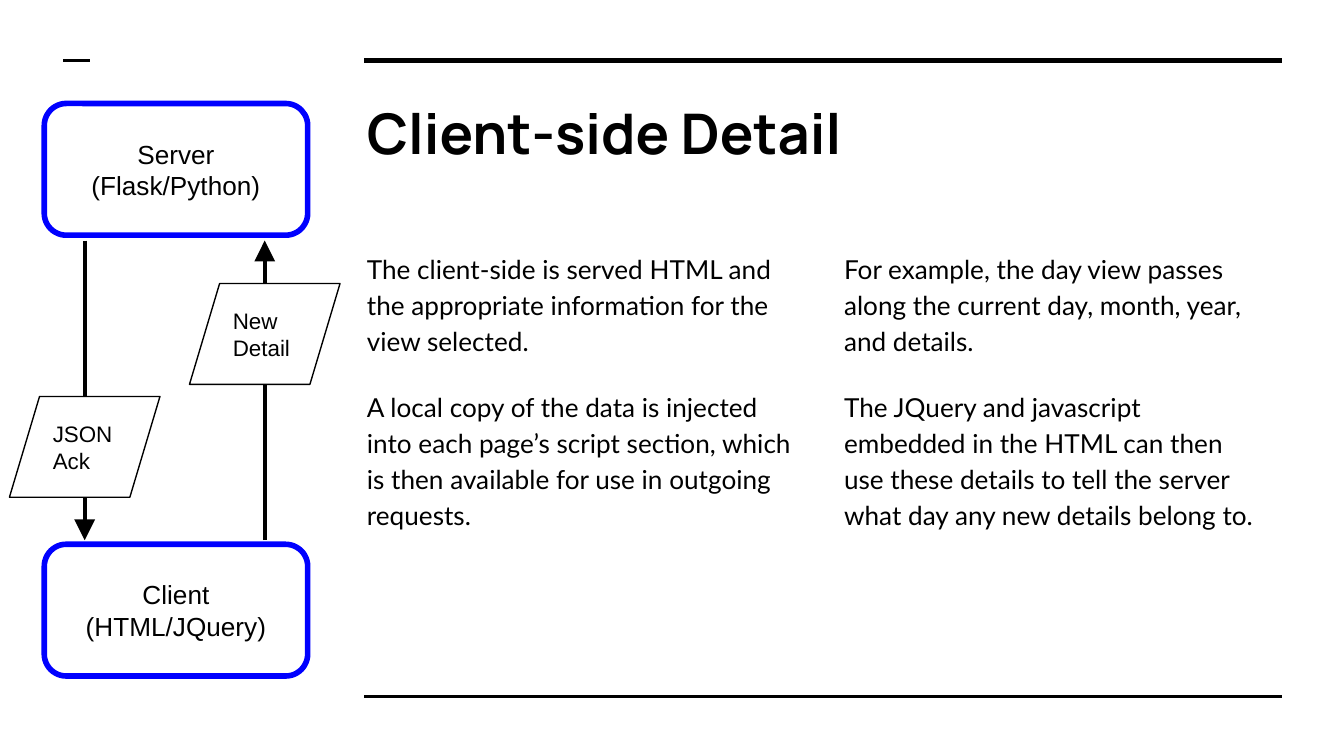
import pptx
import pptx.dml.color
import pptx.enum.shapes
import pptx.enum.text
import pptx.oxml
import pptx.oxml.ns
import pptx.util
import lxml.etree

Inches = pptx.util.Inches
Pt = pptx.util.Pt
Align = pptx.enum.text.PP_ALIGN
Anchor = pptx.enum.text.MSO_ANCHOR
Shape = pptx.enum.shapes.MSO_SHAPE
qn = pptx.oxml.ns.qn

LEFT = [
    "The client-side is served HTML and the appropriate information for the view selected.",
    "A local copy of the data is injected into each page’s script section, "
    "which is then available for use in outgoing requests.",
]
RIGHT = [
    "For example, the day view passes along the current day, month, year, and details.",
    "The JQuery and javascript embedded in the HTML can then use these details "
    "to tell the server what day any new details belong to.",
]


def color(code):
    """Turn a hex string into a colour."""
    return pptx.dml.color.RGBColor.from_string(code)


def place(shape, box):
    """Move a shape to a box given in inches."""
    shape.left, shape.top, shape.width, shape.height = map(Inches, box)


def write(shape, lines, font, size, align=Align.LEFT, anchor=Anchor.TOP, bold=False):
    """Fill a shape with evenly formatted paragraphs."""
    frame = shape.text_frame
    frame.text = "\n".join(lines)
    frame.word_wrap = True
    frame.auto_size = pptx.enum.text.MSO_AUTO_SIZE.NONE
    frame.vertical_anchor = anchor
    frame.margin_left = frame.margin_right = Inches(0.1)
    frame.margin_top = frame.margin_bottom = Inches(0.1)
    for para in frame.paragraphs:
        para.alignment = align
        para.font.name = font
        para.font.size = Pt(size)
        para.font.bold = bold
        para.font.color.rgb = color("000000")


def add_line(slide, start, end, width, arrow=False):
    """Draw a black line, with an arrowhead at its end if asked."""
    points = map(Inches, (*start, *end))
    line = slide.shapes.add_connector(pptx.enum.shapes.MSO_CONNECTOR.STRAIGHT, *points)
    line.line.color.rgb = color("000000")
    line.line.width = Pt(width)
    props = line._element.spPr
    if arrow:
        lxml.etree.SubElement(props.find(qn("a:ln")), qn("a:tailEnd"),
                              type="triangle", w="lg", len="lg")
    lxml.etree.SubElement(props, qn("a:effectLst"))


def add_node(slide, kind, box, lines, edge, width, size, align):
    """Draw a white outlined shape with text at mid height."""
    node = slide.shapes.add_shape(kind, *map(Inches, box))
    node.shadow.inherit = False
    node.fill.solid()
    node.fill.fore_color.rgb = color("FFFFFF")
    node.line.color.rgb = color(edge)
    node.line.width = Pt(width)
    write(node, lines, "Arial", size, align, Anchor.MIDDLE)


def add_rules(slide, left, top, width, height):
    """Frame the content with rules and set a short dash at the margin."""
    right = left + width
    add_line(slide, (left, top), (right, top), 3)
    add_line(slide, (left, top + height), (right, top + height), 1.5)
    add_line(slide, (left - 2.24, top), (left - 2.04, top), 1.5)


def add_column(holder, box, lines):
    """Set a body placeholder as a column of plain paragraphs."""
    place(holder, box)
    write(holder, lines, "Lato", 14)
    for para in holder.text_frame.paragraphs:
        para.line_spacing = 1.15
        para.space_before = Pt(0)
        para.space_after = Pt(16)
        props = para._p.get_or_add_pPr()
        props.set("marL", "0")
        props.set("indent", "0")
        plain = pptx.oxml.parse_xml(f"<a:buNone {pptx.oxml.ns.nsdecls('a')}/>")
        props.find(qn("a:defRPr")).addprevious(plain)


def add_text(slide, left, top, width):
    """Place the title above two columns of text."""
    title, *bodies = slide.placeholders
    place(title, (left, top, width, 0.69))
    write(title, ["Client-side Detail"], "Manrope", 30, bold=True)
    wide = 3.36
    for index, (body, lines) in enumerate(zip(bodies, (LEFT, RIGHT))):
        add_column(body, (left + index * (width - wide), top + 1.12, wide, 3.28), lines)


def add_flow(slide, left, top, width, height):
    """Draw the server and client with the messages between them."""
    tall = 0.98
    base = top + height - tall
    ends = [(top, ["Server (Flask/Python)"]), (base, ["Client", "(HTML/JQuery)"])]
    for y, lines in ends:
        add_node(slide, Shape.ROUNDED_RECTANGLE, (left, y, width, tall),
                 lines, "0000FF", 3, 14, Align.CENTER)
    high, low = top + tall + 0.04, base - 0.03
    down, up = left + 0.3, left + 1.64
    add_line(slide, (down, high), (down, low), 2.25, True)
    add_line(slide, (up, low), (up, high), 2.25, True)
    for x, y, lines in [(down, 2.18, ["JSON Ack"]), (up, 1.34, ["New", "Detail"])]:
        add_node(slide, Shape.FLOWCHART_DATA, (x - 0.56, top + y, 1.12, 0.75),
                 lines, "000000", 0.75, 12, Align.LEFT)


def main():
    """Build and save the slide."""
    deck = pptx.Presentation()
    deck.slide_width = Inches(10)
    deck.slide_height = deck.slide_width * 9 // 16
    slide = deck.slides.add_slide(deck.slide_layouts.get_by_name("Two Content"))
    add_rules(slide, 2.71, 0.45, 6.83, 4.73)
    add_text(slide, 2.63, 0.63, 6.91)
    add_flow(slide, 0.33, 0.77, 1.96, 4.26)
    deck.save("out.pptx")


if __name__ == "__main__":
    main()
